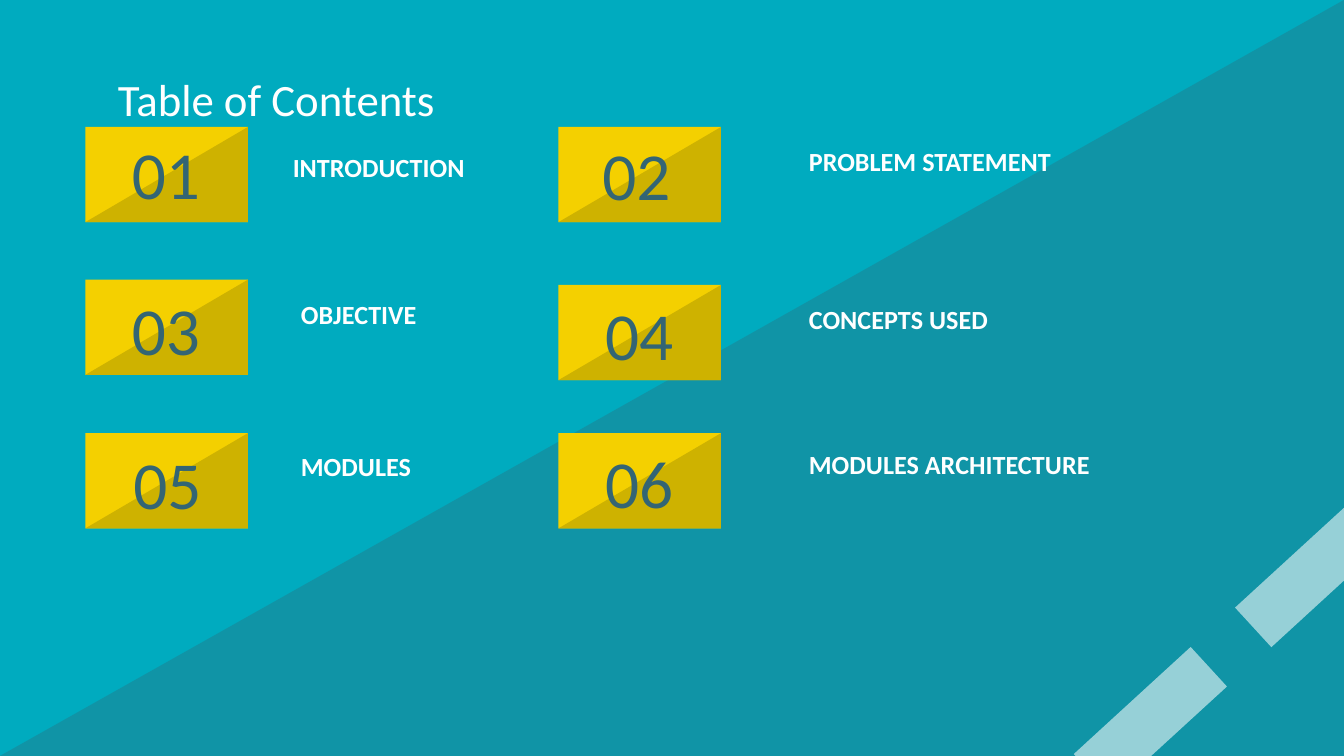
import pptx
import pptx.util
import pptx.dml.color
import pptx.enum.shapes
import pptx.enum.text
import lxml.etree

prs = pptx.Presentation()
prs.slide_width = pptx.util.Inches(10)
prs.slide_height = pptx.util.Inches(5.625)
W, H = prs.slide_width / 100, prs.slide_height / 100
s = prs.slides.add_slide(prs.slide_layouts[6])
RECT = pptx.enum.shapes.MSO_SHAPE.RECTANGLE
TRIANGLE = pptx.enum.shapes.MSO_SHAPE.RIGHT_TRIANGLE
LEFT = pptx.enum.text.PP_ALIGN.LEFT
CENTER = pptx.enum.text.PP_ALIGN.CENTER
rgb = pptx.dml.color.RGBColor.from_string


def add_block(kind, x, y, w, h, color, alpha=100):
    sp = s.shapes.add_shape(kind, int(x * W), int(y * H), int(w * W), int(h * H))
    sp.shadow.inherit = False
    sp.fill.solid()
    sp.fill.fore_color.rgb = rgb(color)
    sp.line.fill.background()
    if kind == TRIANGLE:
        sp._element.spPr.get_or_add_xfrm().set("flipH", "1")
    if alpha < 100:
        clr = sp._element.spPr.find(".//" + pptx.oxml.ns.qn("a:srgbClr"))
        lxml.etree.SubElement(clr, pptx.oxml.ns.qn("a:alpha")).set("val", str(alpha * 1000))
    return sp


def add_text(text, x, y, w, h, size, color, bold=False, align=LEFT, bottom=0.1):
    tf = s.shapes.add_textbox(int(x * W), int(y * H), int(w * W), int(h * H)).text_frame
    frame = {
        "word_wrap": True,
        "vertical_anchor": pptx.enum.text.MSO_ANCHOR.MIDDLE,
        "margin_left": pptx.util.Inches(0.1),
        "margin_right": pptx.util.Inches(0.1),
        "margin_top": pptx.util.Inches(0.1),
        "margin_bottom": pptx.util.Inches(bottom),
    }
    for name, value in frame.items():
        setattr(tf, name, value)
    p = tf.paragraphs[0]
    p.alignment = align
    r = p.add_run()
    r.text = text
    for name, value in {"name": "Calibri", "size": pptx.util.Pt(size), "bold": bold}.items():
        setattr(r.font, name, value)
    r.font.color.rgb = rgb(color)


s.background.fill.solid()
s.background.fill.fore_color.rgb = rgb("00ABBF")
add_block(TRIANGLE, 0, 0, 100, 100, "336574", 32)
for x, y in [(79.7, 91.73), (91.7, 72.36)]:
    add_block(RECT, x, y, 11.8, 7.11, "FFFFFF", 56).rotation = 317.5

add_text("Table of Contents", 7.8, 7.47, 84.4, 11.2, 24, "FFFFFF")

card_w, card_h = 12.1, 12.6
columns = [6.35, 41.55]
items = [
    ("INTRODUCTION", 16.8, 6.3, 16.53, 20.8, 17.96, 15.5),
    ("PROBLEM STATEMENT", 16.8, 41.3, 16.71, 59.2, 17.07, 22.1),
    ("OBJECTIVE", 37.0, 6.3, 37.16, 21.4, 37.33, 15.5),
    ("CONCEPTS USED", 37.7, 41.5, 37.87, 59.2, 38.04, 15.5),
    ("MODULES", 57.3, 6.4, 57.6, 21.4, 57.42, 15.5),
    ("MODULES ARCHITECTURE", 57.3, 41.5, 57.42, 59.2, 57.24, 28.1),
]
for i, (label, card_y, num_x, num_y, label_x, label_y, label_w) in enumerate(items):
    card_x = columns[i % 2]
    add_block(RECT, card_x, card_y, card_w, card_h, "F4D000")
    add_block(TRIANGLE, card_x, card_y, card_w, card_h, "CEB200")
    add_text(f"{i + 1:02}", num_x, num_y, card_w, card_h, 36, "336574", align=CENTER)
    add_text(label, label_x, label_y, label_w, 12.44, 14, "FFFFFF", bold=True, bottom=0.33)

prs.save("out.pptx")
